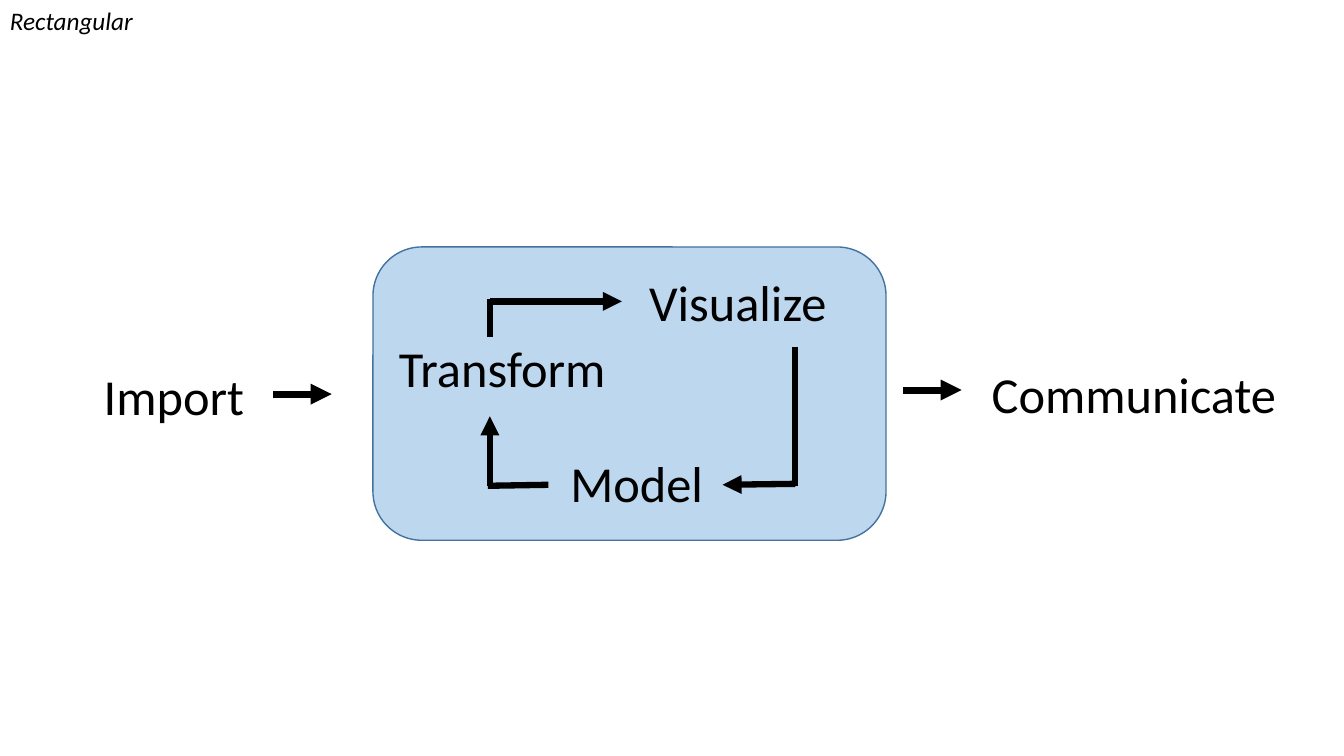
"""Build a slide showing a rectangular data analysis workflow."""
from dataclasses import dataclass

from lxml import etree
from pptx import Presentation
from pptx import util as u
from pptx.dml.color import RGBColor
from pptx.enum import shapes, text
from pptx.oxml import ns
from pptx.slide import Slide

BLACK = "000000"
LOOP_LEFT, LOOP_RIGHT = 349.9, 568.1
LOOP_TOP, LOOP_BOTTOM = 215.3, 347


@dataclass(frozen=True)
class Label:
    wording: str
    left: float
    top: float
    width: float
    height: float = 51.1
    size: float = 36
    italic: bool = False


@dataclass(frozen=True)
class Stroke:
    start: tuple[float, float]
    end: tuple[float, float]
    arrow: bool = True
    weight: float = 4.5


LABELS = [
    Label("Import", 67, 257, 126.7),
    Label("Communicate", 701.3, 255.6, 221),
    Label("Visualize", 456.5, 190.1, 150.5),
    Label("Transform", 277.9, 236.9, 166.3),
    Label("Model", 400.3, 319.7, 126),
    Label("Rectangular", 0, 0, 155.5, 28.8, 18, True),
]

STROKES = [
    Stroke((LOOP_RIGHT, 345.6), (516.2, 346.3)),
    Stroke((LOOP_LEFT, LOOP_BOTTOM), (LOOP_LEFT, 297.4)),
    Stroke((LOOP_LEFT, LOOP_TOP), (444.2, LOOP_TOP)),
    Stroke((LOOP_RIGHT, LOOP_BOTTOM), (LOOP_RIGHT, 247.7), arrow=False),
    Stroke((LOOP_LEFT, 240.5), (LOOP_LEFT, 213.8), arrow=False),
    Stroke((348.5, LOOP_BOTTOM), (391.7, 346.3), arrow=False),
    Stroke((195.1, 281.5), (236.9, 281.5), weight=5),
    Stroke((645.1, 278.6), (686.9, 278.6), weight=5),
]


def color(value: str) -> RGBColor:
    return RGBColor.from_string(value)


def apply_format(target: object, values: dict[str, object]) -> None:
    for name, value in values.items():
        setattr(target, name, value)


def add_panel(slide: Slide) -> None:
    shape = slide.shapes.add_shape(
        shapes.MSO_SHAPE.ROUNDED_RECTANGLE,
        *map(u.Pt, (266.4, 176.4, 366.5, 209.5)),
    )
    shape.shadow.inherit = False
    shape.fill.solid()
    shape.fill.fore_color.rgb = color("BDD7EE")
    shape.line.color.rgb = color("43739E")
    shape.line.width = u.Pt(1)


def add_label(slide: Slide, label: Label) -> None:
    bounds = (label.left, label.top, label.width, label.height)
    frame = slide.shapes.add_textbox(*map(u.Pt, bounds)).text_frame
    apply_format(frame, {
        "word_wrap": True,
        "auto_size": text.MSO_AUTO_SIZE.SHAPE_TO_FIT_TEXT,
    })
    run = frame.paragraphs[0].add_run()
    run.text = label.wording
    apply_format(run.font, {
        "name": "Calibri",
        "size": u.Pt(label.size),
        "italic": label.italic,
    })
    run.font.color.rgb = color(BLACK)


def add_stroke(slide: Slide, stroke: Stroke) -> None:
    connector = slide.shapes.add_connector(
        shapes.MSO_CONNECTOR.STRAIGHT,
        *map(u.Pt, stroke.start + stroke.end),
    )
    connector.line.color.rgb = color(BLACK)
    connector.line.width = u.Pt(stroke.weight)
    properties = connector.element.spPr
    if stroke.arrow:
        outline = properties.find(ns.qn("a:ln"))
        etree.SubElement(outline, ns.qn("a:tailEnd"), type="triangle")
    etree.SubElement(properties, ns.qn("a:effectLst"))


def main() -> None:
    presentation = Presentation()
    apply_format(presentation, {
        "slide_width": u.Pt(960),
        "slide_height": u.Pt(540),
    })
    slide = presentation.slides.add_slide(presentation.slide_layouts[6])
    add_panel(slide)
    for label in LABELS:
        add_label(slide, label)
    for stroke in STROKES:
        add_stroke(slide, stroke)
    presentation.save("out.pptx")


if __name__ == "__main__":
    main()
